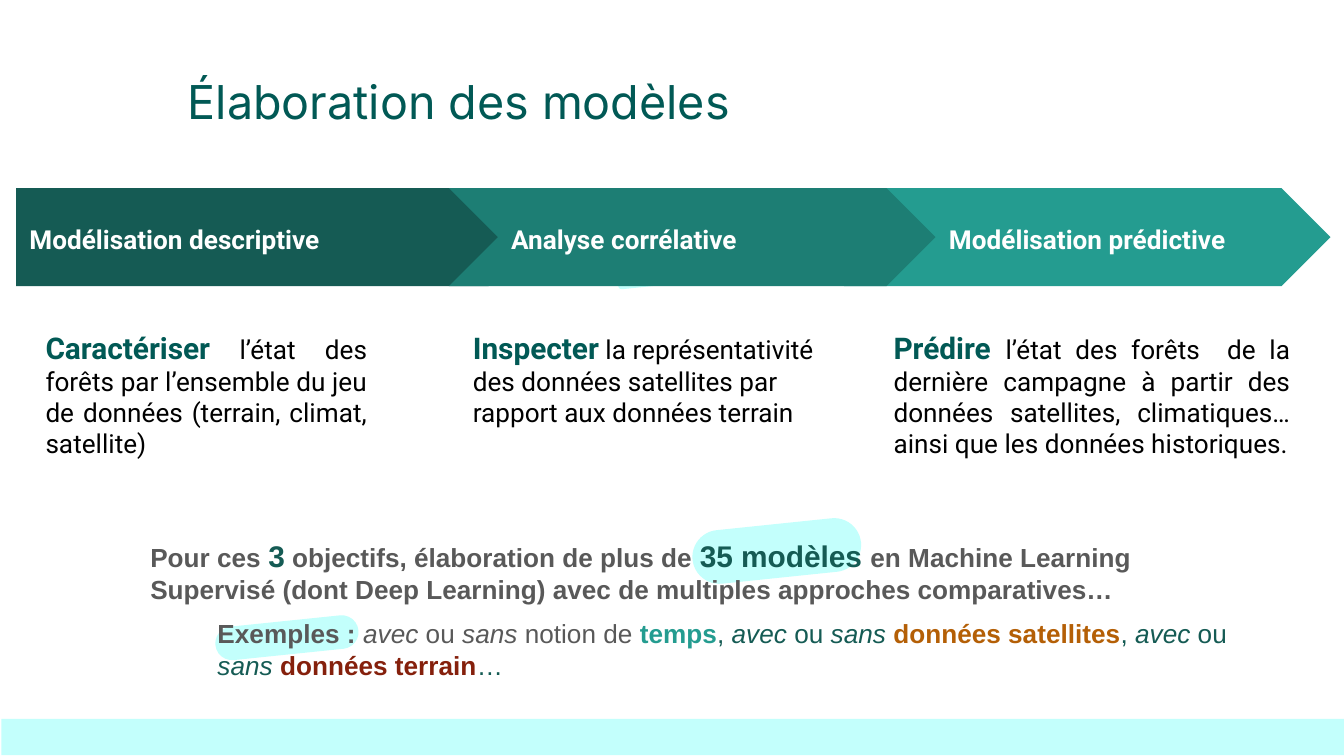
import pptx
import pptx.dml.color
import pptx.enum.shapes
import pptx.enum.text
import pptx.util

Inches = pptx.util.Inches
Pt = pptx.util.Pt
RGBColor = pptx.dml.color.RGBColor
SHAPE = pptx.enum.shapes.MSO_SHAPE
ALIGN = pptx.enum.text.PP_ALIGN
ANCHOR = pptx.enum.text.MSO_ANCHOR

PALE = RGBColor(0xC3, 0xFF, 0xFC)
PINE = RGBColor(0x01, 0x59, 0x55)
DARK_TEAL = RGBColor(0x15, 0x5B, 0x54)
MID_TEAL = RGBColor(0x1D, 0x7E, 0x74)
TEAL = RGBColor(0x24, 0x9C, 0x90)
GREY = RGBColor(0x59, 0x59, 0x59)
ORANGE = RGBColor(0xB4, 0x5F, 0x06)
RED = RGBColor(0x85, 0x20, 0x0C)
WHITE = RGBColor(0xFF, 0xFF, 0xFF)
BLACK = RGBColor(0, 0, 0)

TILT = 354.1
ARROW_TOP, ARROW_HEIGHT = 1.4, 0.73
TEXT_TOP = 2.35


def add_block(page, kind, place, color, rotation=0):
    """Add a plain filled shape without outline."""
    block = page.shapes.add_shape(kind, *map(Inches, place))
    block.shadow.inherit = False
    block.fill.solid()
    block.fill.fore_color.rgb = color
    block.line.fill.background()
    block.rotation = rotation
    return block


def add_highlight(page, place):
    """Add a tilted marker stroke with fully rounded ends."""
    stroke = add_block(page, SHAPE.ROUNDED_RECTANGLE, place, PALE, TILT)
    stroke.adjustments[0] = 0.5


def set_frame(box):
    frame = box.text_frame
    frame.word_wrap = True
    frame.margin_left = frame.margin_right = Inches(0.1)
    frame.margin_top = frame.margin_bottom = Inches(0.1)
    return frame


def add_box(page, place):
    return set_frame(page.shapes.add_textbox(*map(Inches, place)))


def add_span(para, text, font, size, color, bold=False, italic=False):
    span = para.add_run()
    span.text = text
    span.font.name = font
    span.font.size = Pt(size)
    span.font.color.rgb = color
    span.font.bold = bold
    span.font.italic = italic


def add_arrow(page, kind, left, width, color, label, align):
    """Add one step of the process band with its label."""
    arrow = add_block(page, kind, (left, ARROW_TOP, width, ARROW_HEIGHT), color)
    arrow.adjustments[0] = 0.5
    frame = set_frame(arrow)
    frame.vertical_anchor = ANCHOR.MIDDLE
    para = frame.paragraphs[0]
    para.alignment = align
    para.line_spacing = 1.15
    add_span(para, label, "Roboto", 14, WHITE, bold=True)


def add_description(page, left, width, height, verb, rest, align):
    """Add the text below a step, opened by a coloured verb."""
    para = add_box(page, (left, TEXT_TOP, width, height)).paragraphs[0]
    para.alignment = align
    para.space_after = Pt(16)
    add_span(para, verb, "Roboto", 16, PINE, bold=True)
    add_span(para, rest, "Roboto", 14, BLACK)


def add_summary(page):
    frame = add_box(page, (1.02, 3.9, 8.26, 1.28))

    # Number of models
    para = frame.paragraphs[0]
    for text, size, color in (
        ("Pour ces ", 14, GREY),
        ("3", 16, DARK_TEAL),
        (" objectifs, élaboration de plus de ", 14, GREY),
        ("35 modèles ", 16, DARK_TEAL),
        ("en Machine Learning Supervisé (dont Deep Learning) avec de "
         "multiples approches comparatives…", 14, GREY),
    ):
        add_span(para, text, "Arial", size, color, bold=True)

    # Indented examples: each pairs "avec ou sans" with a coloured topic
    para = frame.add_paragraph()
    para.space_before = Pt(7)
    properties = para._p.get_or_add_pPr()
    properties.set("marL", str(Inches(0.5)))
    properties.set("indent", "0")
    add_span(para, "Exemples : ", "Arial", 14, GREY, bold=True)
    for base, link, topic, color, ending in (
        (GREY, " notion de ", "temps", TEAL, ", "),
        (DARK_TEAL, " ", "données satellites", ORANGE, ", "),
        (DARK_TEAL, " ", "données terrain", RED, "…"),
    ):
        add_span(para, "avec", "Arial", 14, base, italic=True)
        add_span(para, " ou ", "Arial", 14, base)
        add_span(para, "sans", "Arial", 14, base, italic=True)
        add_span(para, link, "Arial", 14, base)
        add_span(para, topic, "Arial", 14, color, bold=True)
        add_span(para, ending, "Arial", 14, DARK_TEAL)


def main():
    deck = pptx.Presentation()
    # Widescreen, 16 to 9
    deck.slide_width = Inches(10)
    deck.slide_height = Inches(10) * 9 // 16
    page = deck.slides.add_slide(deck.slide_layouts[6])

    # Marker strokes behind the text
    for place in ((5.15, 3.9, 1.26, 0.4), (1.6, 4.62, 1.07, 0.25),
                  (4.6, 2.09, 0.29, 0.05)):
        add_highlight(page, place)

    # Title and bottom band
    title = add_box(page, (1.3, 0.44, 5.81, 0.58)).paragraphs[0]
    add_span(title, "Élaboration des modèles", "Inter", 25, PINE)
    add_block(page, SHAPE.RECTANGLE, (0.01, 5.35, 10, 0.27), PALE)

    # Process steps, back to front
    add_arrow(page, SHAPE.CHEVRON, 6.28, 3.62, TEAL,
              "Modélisation prédictive", ALIGN.CENTER)
    add_arrow(page, SHAPE.PENTAGON, 0.12, 3.88, DARK_TEAL,
              "Modélisation descriptive", ALIGN.LEFT)
    add_arrow(page, SHAPE.CHEVRON, 3.34, 3.62, MID_TEAL,
              "Analyse corrélative", ALIGN.LEFT)

    # Step descriptions
    add_description(page, 0.24, 2.59, 1.49, "Caractériser",
                    " l’état des forêts par l’ensemble du jeu de données "
                    "(terrain, climat, satellite)", ALIGN.JUSTIFY)
    add_description(page, 3.42, 2.93, 2.13, "Inspecter",
                    " la représentativité des données satellites par rapport "
                    "aux données terrain", ALIGN.LEFT)
    add_description(page, 6.55, 3.15, 2.13, "Prédire ",
                    "l’état des forêts  de la dernière campagne à partir des "
                    "données satellites, climatiques… ainsi que les données "
                    "historiques.", ALIGN.JUSTIFY)

    add_summary(page)
    deck.save("out.pptx")


if __name__ == "__main__":
    main()
